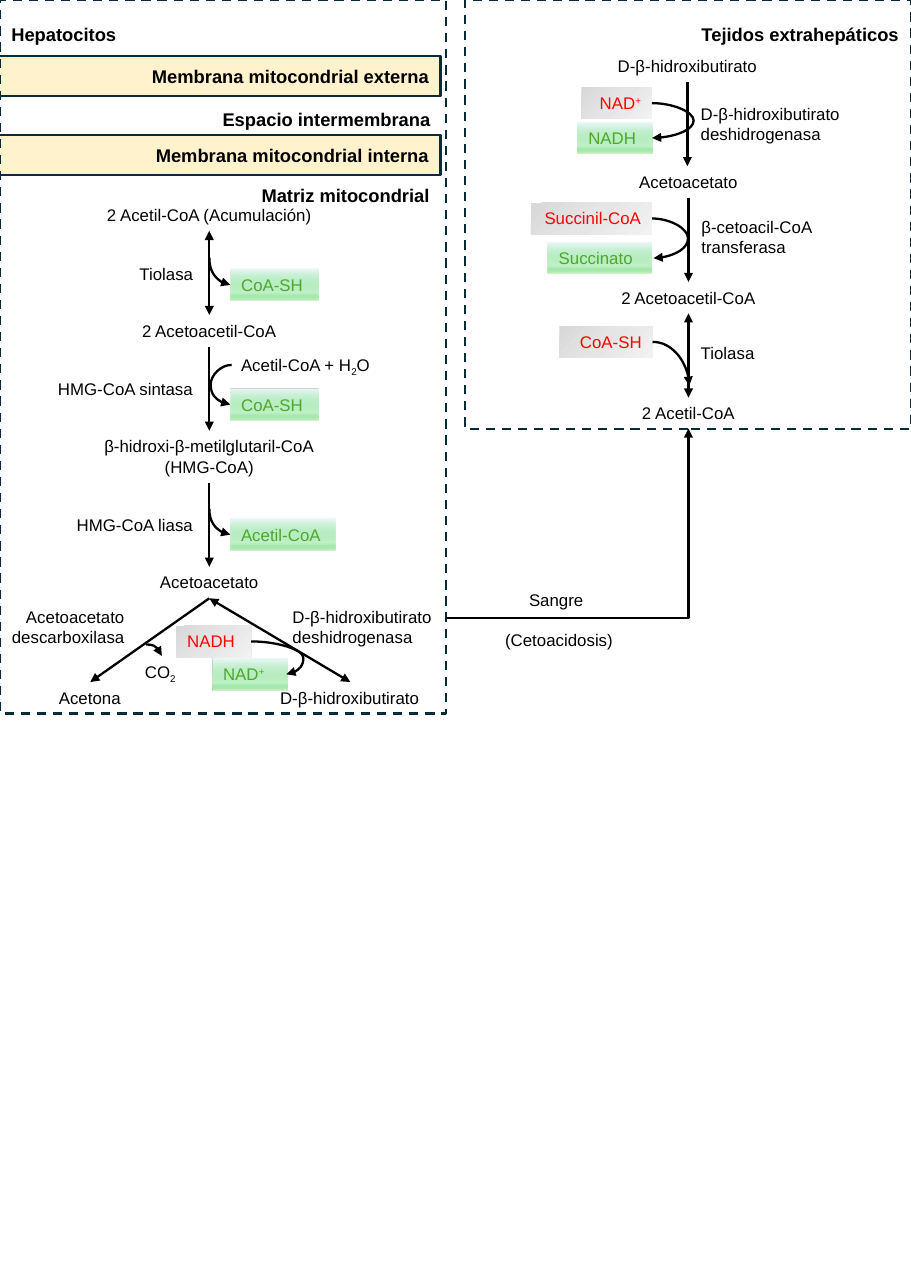
from pptx import Presentation
from pptx.dml.color import RGBColor
from pptx.enum.dml import MSO_LINE
from pptx.enum.shapes import MSO_CONNECTOR, MSO_SHAPE
from pptx.enum.text import MSO_AUTO_SIZE, PP_ALIGN
from pptx.oxml.ns import qn
from pptx.util import Pt
from lxml import etree

LEFT, CENTER, RIGHT = PP_ALIGN.LEFT, PP_ALIGN.CENTER, PP_ALIGN.RIGHT
RECTANGLE, DASH = MSO_SHAPE.RECTANGLE, MSO_LINE.DASH
STRAIGHT, CURVE, ELBOW = MSO_CONNECTOR.STRAIGHT, MSO_CONNECTOR.CURVE, MSO_CONNECTOR.ELBOW
FIT_SHAPE = MSO_AUTO_SIZE.SHAPE_TO_FIT_TEXT
color = RGBColor.from_string

BLACK, NAVY, RED, GREEN = "000000", "092A39", "FF0000", "4EA72E"
# Gradient stops: position %, colour, opacity %
GREEN_STOPS = [(0, "F0F8FD", 100), (74, "47D45A", 33), (83, "47D45A", 48), (100, "D9F2D0", 100)]
GRAY_STOPS = [(0, "D8D8D8", 100), (50, "E5E5E5", 100), (100, "F2F2F2", 100)]
LINE_HEIGHT = 20.6
STEP = 75.6  # distance from one metabolite to the next

deck = Presentation()
deck.slide_width, deck.slide_height = Pt(595.44), Pt(841.68)
page = deck.slides.add_slide(deck.slide_layouts[6])


def add_text(text, left, top, width, height=LINE_HEIGHT, size=11, ink=BLACK,
             bold=False, align=LEFT, wrap=True, shift=-25):
    """Write text; pieces between bars are raised or lowered by shift percent."""
    box = page.shapes.add_textbox(Pt(left), Pt(top), Pt(width), Pt(height))
    frame = box.text_frame
    frame.word_wrap = wrap
    frame.auto_size = FIT_SHAPE
    for row, line in enumerate(text.split("\n")):
        para = frame.add_paragraph() if row else frame.paragraphs[0]
        para.alignment = align
        for index, piece in enumerate(line.split("|")):
            span = para.add_run()
            span.text = piece
            span.font.name, span.font.size, span.font.bold = "Arial", Pt(size), bold
            span.font.color.rgb = color(ink)
            if index % 2:
                span.font._element.set("baseline", str(shift * 1000))
    return box


def add_arrow(start, end, kind=STRAIGHT, preset=None, turns=0, bulge=None, double=False):
    """Draw an arrow; turns counts quarter turns, bulge is the bend's reach in points."""
    middle_x, middle_y = (start[0] + end[0]) / 2, (start[1] + end[1]) / 2
    dx, dy = start[0] - middle_x, start[1] - middle_y
    for _ in range(-turns % 4):
        dx, dy = -dy, dx
    arrow = page.shapes.add_connector(kind, Pt(middle_x + dx), Pt(middle_y + dy),
                                      Pt(middle_x - dx), Pt(middle_y - dy))
    arrow.line.color.rgb = color(BLACK)
    arrow.line.width = Pt(1.5)
    properties = arrow.element.spPr
    outline = properties.find(qn("a:ln"))
    if double:
        etree.SubElement(outline, qn("a:headEnd"), type="triangle")
    etree.SubElement(outline, qn("a:tailEnd"), type="triangle")
    etree.SubElement(properties, qn("a:effectLst"))
    geometry = properties.find(qn("a:prstGeom"))
    if preset:
        geometry.set("prst", preset)
    if turns:
        properties.find(qn("a:xfrm")).set("rot", str(turns * 5400000))
    if bulge:
        ratio = round(bulge / abs(2 * dx) * 100000)
        etree.SubElement(geometry.find(qn("a:avLst")), qn("a:gd"),
                         name="adj1", fmla=f"val {ratio}")


# Membranes and dashed compartments
for left, top, width, height, tint in [
    (-14.4, 88.4, 302.4, 26.1, "FFC000"),
    (-14.4, 36.8, 302.4, 26.1, "FFC000"),
    (0, 0, 291.6, 466.4, None),
    (303.84, 0, 291.6, 280.2, None),
]:
    area = page.shapes.add_shape(RECTANGLE, Pt(left), Pt(top), Pt(width), Pt(height))
    area.shadow.inherit = False
    area.line.color.rgb = color(NAVY)
    area.line.width = Pt(1.5)
    if tint:
        area.fill.solid()
        area.fill.fore_color.rgb = color(tint)
        etree.SubElement(area.element.spPr.find(qn("a:solidFill"))[0], qn("a:alpha"), val="20000")
    else:
        area.fill.background()
        area.line.dash_style = DASH

# Compartment titles
for text, left, top, width, align, wrap in [
    ("Hepatocitos", 0, 11.5, 83.5, CENTER, False),
    ("Membrana mitocondrial externa", 91.4, 38.9, 197.3, CENTER, True),
    ("Espacio intermembrana", 137.5, 67, 151.9, CENTER, True),
    ("Membrana mitocondrial interna", 93.6, 90.7, 195.1, CENTER, True),
    ("Matriz mitocondrial", 92.9, 116.6, 195.1, RIGHT, True),
    ("Tejidos extrahepáticos", 450.7, 11.5, 144.7, CENTER, False),
]:
    add_text(text, left, top, width, height=21.8, size=12, bold=True, align=align, wrap=wrap)

# Metabolites, each with the arrow that leads down to the next
for text, center, top, width, lines, arrow in [
    ("2 Acetil-CoA (Acumulación)", 136.8, 130.3, 150.5, 1, "double"),
    ("2 Acetoacetil-CoA", 136.8, 130.3 + STEP, 103.7, 1, "single"),
    ("β-hidroxi-β-metilglutaril-CoA\n(HMG-CoA)", 136.8, 130.3 + 2 * STEP, 152.6, 2, "single"),
    ("Acetoacetato", 136.8, 370.1, 79.2, 1, None),
    ("Acetona", 58.7, 445.7, 55.4, 1, None),
    ("D-β-hidroxibutirato", 228.6, 445.7, 105.8, 1, None),
    ("D-β-hidroxibutirato", 449.3, 33, 105.8, 1, "single"),
    ("Acetoacetato", 450, 33 + STEP, 79.2, 1, "single"),
    ("2 Acetoacetil-CoA", 450, 33 + 2 * STEP, 103.7, 1, "double"),
    ("2 Acetil-CoA", 450, 33 + 3 * STEP, 76.3, 1, None),
    ("Sangre", 363.6, 381.6, 50.4, 1, None),
    ("(Cetoacidosis)", 365.4, 408.2, 85.7, 1, None),
]:
    height = LINE_HEIGHT + 13.3 * (lines - 1)
    add_text(text, center - width / 2, top, width, height, align=CENTER, wrap=False)
    if arrow:
        add_arrow((center, top + height), (center, top + height + STEP - LINE_HEIGHT),
                  double=arrow == "double")

# Acetoacetate branches and the way through the blood
add_arrow((136.8, 391), (59, 445.7))
add_arrow((136.8, 391), (229, 445.7), double=True)
add_arrow((291.6, 403.9), (450, 280.1), kind=ELBOW, preset="bentConnector2")

# Enzymes and side products
for text, left, top, width, height, align, wrap in [
    ("Tiolasa", 83.5, 168.5, 50.4, LINE_HEIGHT, CENTER, False),
    ("HMG-CoA sintasa", 30.2, 244.1, 103.7, LINE_HEIGHT, CENTER, False),
    ("HMG-CoA liasa", 42.5, 332.6, 91.4, LINE_HEIGHT, CENTER, False),
    ("Acetoacetato descarboxilasa", -17.3, 393.1, 105.8, 33.9, RIGHT, True),
    ("D-β-hidroxibutirato deshidrogenasa", 184.1, 393.1, 105.8, 33.9, LEFT, True),
    ("Acetil-CoA + H|2|O", 150.5, 228.2, 105.8, LINE_HEIGHT, LEFT, True),
    ("CO|2", 87.6, 428.6, 37.4, LINE_HEIGHT, LEFT, True),
    ("D-β-hidroxibutirato deshidrogenasa", 450.9, 64.3, 105.8, 33.9, LEFT, True),
    ("β-cetoacil-CoA transferasa", 451.4, 138.2, 105.8, 33.9, LEFT, True),
    ("Tiolasa", 450.9, 220.6, 105.8, LINE_HEIGHT, LEFT, True),
]:
    add_text(text, left, top, width, height, align=align, wrap=wrap)

# Cofactors: red ones enter, green ones leave
for text, left, top, width, ink, align in [
    ("CoA-SH", 150.5, 175.9, 57.8, GREEN, LEFT),
    ("CoA-SH", 150.5, 254.1, 57.8, GREEN, LEFT),
    ("Acetil-CoA", 150.5, 339.1, 68.7, GREEN, LEFT),
    ("NADH", 115.2, 408.9, 49, RED, LEFT),
    ("NAD|+", 138.7, 430.4, 49, GREEN, LEFT),
    ("NADH", 377.4, 79.9, 49, GREEN, LEFT),
    ("NAD|+", 380, 57, 46.1, RED, RIGHT),
    ("Succinil-CoA", 347, 132.5, 79.2, RED, RIGHT),
    ("Succinato", 358.1, 158.4, 67.8, GREEN, LEFT),
    ("CoA-SH", 365.6, 213.1, 61, RED, RIGHT),
]:
    card = add_text(text, left, top, width, ink=ink, align=align, shift=30)
    card.fill.gradient()
    card.fill.gradient_angle = 270 if ink == GREEN else 315
    stop_list = card.element.spPr.find(qn("a:gradFill")).find(qn("a:gsLst"))
    stop_list.clear()
    for position, tone, opacity in GREEN_STOPS if ink == GREEN else GRAY_STOPS:
        stop = etree.SubElement(stop_list, qn("a:gs"), pos=str(position * 1000))
        tone_node = etree.SubElement(stop, qn("a:srgbClr"), val=tone)
        etree.SubElement(tone_node, qn("a:alpha"), val=str(opacity * 1000))

# Curved cofactor arrows: quarter bends, then round bends with their reach
for start, end, turns in [
    ((136.8, 168.5), (150.5, 186.2), 3),
    ((136.8, 332.6), (150.5, 349.4), 3),
    ((95.6, 421.2), (105.8, 428.6), 0),
    ((426.5, 223.4), (450.5, 252), 0),
]:
    add_arrow(start, end, kind=CURVE, preset="curvedConnector2", turns=turns)
for start, end, turns, bulge in [
    ((151.4, 238.5), (150.5, 264.4), 2, 13.6),
    ((164.2, 419.2), (187.2, 440.7), 0, 34.1),
    ((426.2, 67.4), (426.25, 90.2), 0, 24),
    ((426.2, 142.8), (427.2, 168.7), 0, 23.7),
]:
    add_arrow(start, end, kind=CURVE, turns=turns, bulge=bulge)

deck.save("out.pptx")
